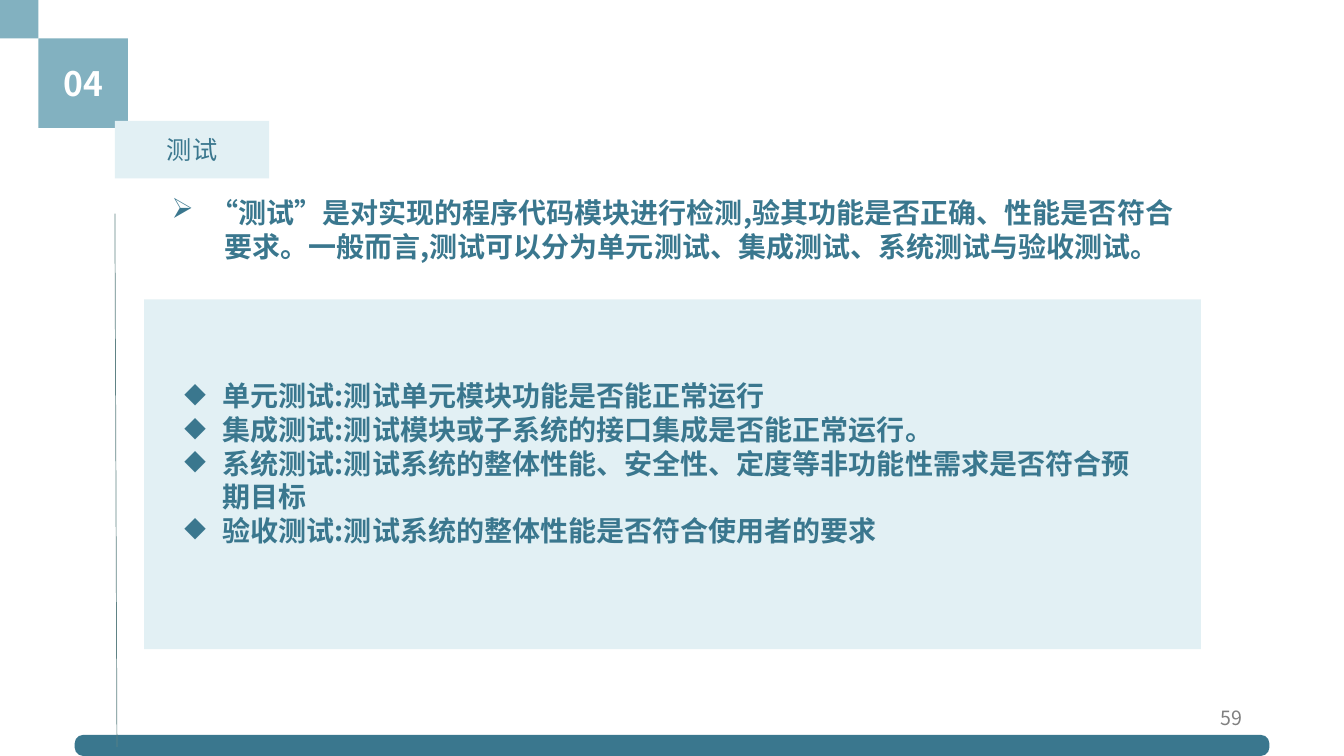
from lxml import etree
from pptx import Presentation
from pptx import util as u
from pptx.dml.color import RGBColor
from pptx.enum import shapes, text
from pptx.oxml.ns import qn

WIDTH, HEIGHT = 13.33, 7.5
FONT = "Noto Sans CJK SC"
TEAL, MIST, DEEP = "82B1C0", "E2F0F4", "3A778E"
WHITE, GREY, RULE = "FFFFFF", "808080", "608385"
INDENT = 0.38
DEFINITION = "“测试”是对实现的程序代码模块进行检测,验其功能是否正确、性能是否符合要求。一般而言,测试可以分为单元测试、集成测试、系统测试与验收测试。"
TEST_KINDS = [
    "单元测试:测试单元模块功能是否能正常运行",
    "集成测试:测试模块或子系统的接口集成是否能正常运行。",
    "系统测试:测试系统的整体性能、安全性、定度等非功能性需求是否符合预期目标",
    "验收测试:测试系统的整体性能是否符合使用者的要求",
]


def paint(target, color):
    """Give a fill a solid colour from a hex string."""
    target.solid()
    target.fore_color.rgb = RGBColor.from_string(color)


def add_block(page, box, color, kind=shapes.MSO_SHAPE.RECTANGLE):
    """Add a flat filled shape without outline."""
    block = page.shapes.add_shape(kind, *map(u.Inches, box))
    block.shadow.inherit = False
    paint(block.fill, color)
    block.line.fill.background()
    return block


def add_bullet(para, sign):
    """Give a paragraph a hanging bullet sign."""
    properties = para._p.get_or_add_pPr()
    properties.set("marL", str(u.Inches(INDENT)))
    properties.set("indent", str(-u.Inches(INDENT)))
    etree.SubElement(properties, qn("a:buChar")).set("char", sign)


def write(frame, lines, size, color, bold=False, align=text.PP_ALIGN.LEFT, sign=None):
    """Fill a text frame with paragraphs in one style."""
    frame.word_wrap = True
    frame.text = "\n".join(lines)
    for para in frame.paragraphs:
        para.alignment = align
        if sign:
            add_bullet(para, sign)
        for span in para.runs:
            font = span.font
            font.size, font.bold, font.name = u.Pt(size), bold, FONT
            paint(font.fill, color)
            etree.SubElement(font._element, qn("a:ea")).set("typeface", FONT)


def add_text(page, box, lines, size, color, **style):
    """Add a wrapped text box."""
    label = page.shapes.add_textbox(*map(u.Inches, box))
    write(label.text_frame, lines, size, color, **style)


def add_label(page, box, fill, wording, size, color, bold=False):
    """Add a block with a centred label."""
    block = add_block(page, box, fill)
    block.text_frame.vertical_anchor = text.MSO_ANCHOR.MIDDLE
    write(block.text_frame, [wording], size, color, bold, text.PP_ALIGN.CENTER)


def add_chapter_mark(page, box):
    """Draw the stepped corner squares with the chapter number."""
    left, top, side, _ = box
    step = 0.3 * side
    add_block(page, (left, top, step, step), TEAL)
    add_label(page, (left + step, top + step, 0.7 * side, 0.7 * side), TEAL, "04", 24, WHITE, True)


def add_footer(page, box):
    """Draw the bottom bar and the page number above its right end."""
    left, top, width, height = box
    bar = add_block(page, box, DEEP, shapes.MSO_SHAPE.ROUNDED_RECTANGLE)
    bar.adjustments[0] = 0.41
    add_text(page, (left + width - 3.17, top - 0.34, 3, 0.4), ["59"], 14, GREY,
             align=text.PP_ALIGN.RIGHT)


def add_side_rule(page, box):
    """Draw the thin, slightly slanted rule from bottom to top."""
    left, top, width, height = box
    ends = left + width, top + height, left, top
    rule = page.shapes.add_connector(shapes.MSO_CONNECTOR.STRAIGHT, *map(u.Inches, ends))
    paint(rule.line.fill, RULE)
    rule.line.width = u.Pt(0.5)
    etree.SubElement(rule._element.spPr, qn("a:effectLst"))


def add_test_panel(page, box):
    """Draw the pale panel listing the kinds of test."""
    left, top, width, height = box
    add_block(page, box, MIST)
    add_text(page, (left + 0.3, top + 0.74, width - 0.81, 1.78), TEST_KINDS, 20, DEEP,
             bold=True, sign="◆")


def build_slide(page):
    """Place every region of the testing slide."""
    add_test_panel(page, (1.43, 2.97, 10.48, 3.47))
    add_chapter_mark(page, (0, 0, 1.27, 1.27))
    add_footer(page, (0.74, 7.29, 11.85, 0.21))
    add_side_rule(page, (1.14, 2.12, 0.02, 5.29))
    add_label(page, (1.14, 1.2, 1.53, 0.57), MIST, "测试", 18, DEEP)
    add_text(page, (1.48, 1.89, 10.38, 0.77), [DEFINITION], 20, DEEP,
             bold=True, align=text.PP_ALIGN.CENTER, sign="➢")


def main():
    """Create the deck and save it."""
    deck = Presentation()
    deck.slide_width, deck.slide_height = u.Inches(WIDTH), u.Inches(HEIGHT)
    build_slide(deck.slides.add_slide(deck.slide_layouts[6]))
    deck.save("out.pptx")


if __name__ == "__main__":
    main()
